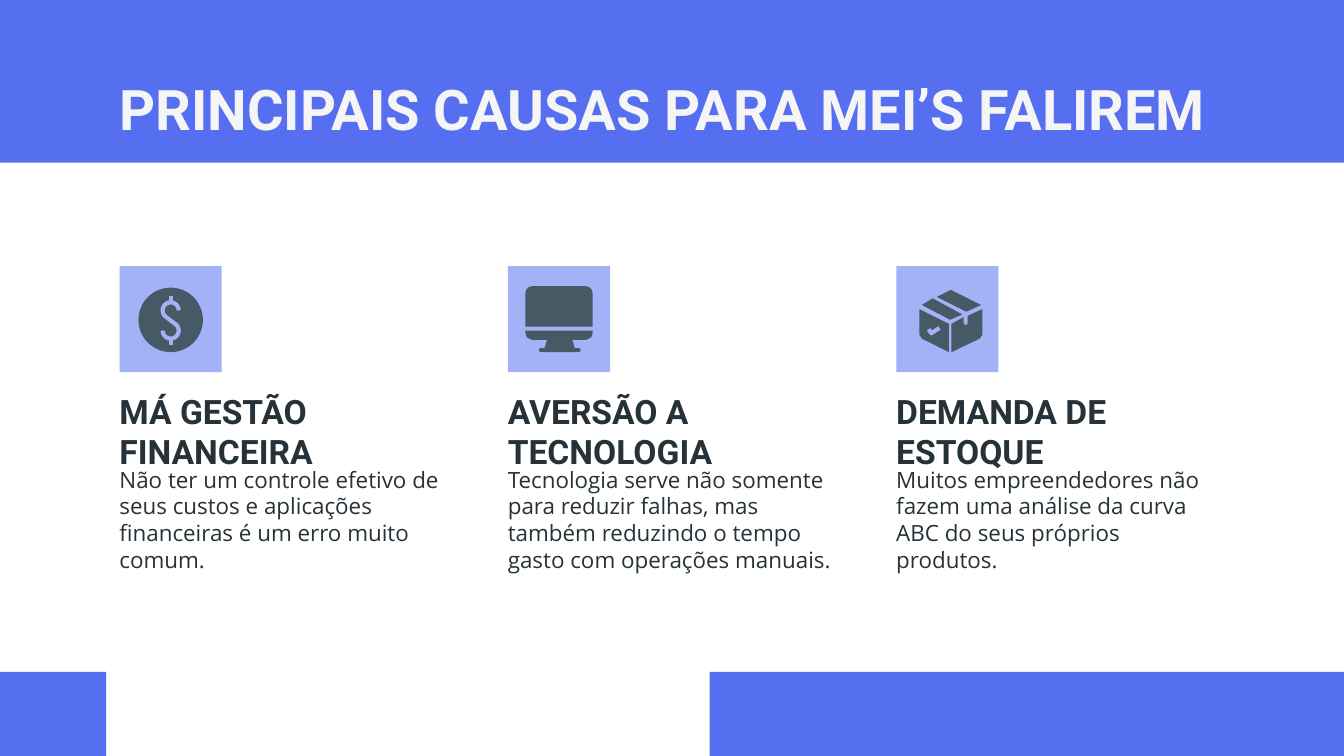
import math
from pptx import Presentation
from pptx.dml.color import RGBColor
from pptx.enum import shapes, text
from pptx.util import Inches, Pt

BLUE, PALE, SLATE, INK = "566FF0", "A3B1F7", "455A64", "263238"
KIND = shapes.MSO_SHAPE

deck = Presentation()
deck.slide_width, deck.slide_height = Inches(10), Inches(10 * 9 / 16)
slide = deck.slides.add_slide(deck.slide_layouts[5])


def paint(shape, fill=None, line=None):
    shape.shadow.inherit = False
    if fill:
        shape.fill.solid()
        shape.fill.fore_color.rgb = RGBColor.from_string(fill)
    else:
        shape.fill.background()
    if line:
        shape.line.color.rgb = RGBColor.from_string(line)
        shape.line.width = Pt(2.2)
    else:
        shape.line.fill.background()
    return shape


def write(box, words, font, size, color, bold=False):
    frame = box.text_frame
    frame.text = words
    frame.word_wrap = True
    frame.auto_size = text.MSO_AUTO_SIZE.NONE
    frame.vertical_anchor = text.MSO_ANCHOR.MIDDLE
    frame.margin_left = frame.margin_right = Inches(0.1)
    frame.margin_top = frame.margin_bottom = Inches(0.1)
    line = frame.paragraphs[0]
    line.alignment = text.PP_ALIGN.LEFT
    run = line.runs[0].font
    run.name, run.size, run.bold = font, Pt(size), bold
    run.color.rgb = RGBColor.from_string(color)


# Title over its band, and the footer blocks
title = slide.shapes.title
title.left, title.top = Inches(0.79), Inches(0.49)
title.width, title.height = Inches(8.43), Inches(0.63)
write(title, "PRINCIPAIS CAUSAS PARA MEI’S FALIREM", "Roboto", 30, "F5F5F5", True)

for x, y, w, h in [(0, -0.03, 10, 1.24), (0, 5, 0.79, 0.63), (5.28, 5, 4.72, 0.63)]:
    band = paint(slide.shapes.add_shape(
        KIND.RECTANGLE, Inches(x), Inches(y), Inches(w), Inches(h)), BLUE)
    title.element.addprevious(band.element)

# Three causes
causes = [
    ("MÁ GESTÃO FINANCEIRA",
     "Não ter um controle efetivo de seus custos e aplicações financeiras "
     "é um erro muito comum."),
    ("AVERSÃO A TECNOLOGIA",
     "Tecnologia serve não somente para reduzir falhas, mas também "
     "reduzindo o tempo gasto com operações manuais."),
    ("DEMANDA DE ESTOQUE",
     "Muitos empreendedores não fazem uma análise da curva ABC do seus "
     "próprios produtos."),
]
for i, (head, body) in enumerate(causes):
    left = 0.79 + i * 2.89
    box = slide.shapes.add_textbox(Inches(left), Inches(3.05), Inches(2.65), Inches(0.31))
    write(box, head, "Roboto", 18, INK, True)
    box = slide.shapes.add_textbox(Inches(left), Inches(3.51), Inches(2.65), Inches(0.71))
    write(box, body, "Open Sans", 12, INK)
    paint(slide.shapes.add_shape(
        KIND.RECTANGLE, Inches(left + 0.1), Inches(1.98), Inches(0.76), Inches(0.79)), PALE)

# Solid icon parts: coin, screen, foot of the screen
for kind, x, y, w, h in [
    (KIND.OVAL, 1.03, 2.14, 0.48, 0.48),
    (KIND.ROUND_2_SAME_RECTANGLE, 3.91, 2.13, 0.5, 0.3),
    (KIND.ROUNDED_RECTANGLE, 4.01, 2.59, 0.31, 0.03),
]:
    part = paint(slide.shapes.add_shape(
        kind, Inches(x), Inches(y), Inches(w), Inches(h)), SLATE)
    if kind == KIND.ROUNDED_RECTANGLE:
        part.adjustments[0] = 0.5

# Closed outlines: screen base, then lid, tape and sides of the parcel
solids = [
    [(3.91, 2.46), (4.41, 2.46), (4.41, 2.48), (4.4, 2.51), (4.36, 2.53), (4.26, 2.53),
     (4.28, 2.6), (4.05, 2.6), (4.07, 2.53), (3.96, 2.53), (3.92, 2.51), (3.91, 2.48)],
    [(6.94, 2.22), (6.86, 2.27), (7.07, 2.38), (7.16, 2.34)],
    [(7.07, 2.16), (6.97, 2.21), (7.19, 2.32), (7.3, 2.27), (7.08, 2.16)],
    [(7.31, 2.3), (7.2, 2.35), (7.2, 2.41), (7.19, 2.42), (7.17, 2.41), (7.17, 2.36),
     (7.08, 2.41), (7.08, 2.62), (7.29, 2.52), (7.31, 2.49)],
    [(6.84, 2.3), (6.84, 2.49), (6.86, 2.52), (7.06, 2.62), (7.06, 2.41)],
]

# Open strokes: dollar sign, then the parcel's check mark
turns = [math.radians(a) for a in range(0, 226, 15)]
upper = [(1.27 + 0.06 * math.cos(a), 2.31 - 0.06 * math.sin(a)) for a in turns]
lower = [(1.27 - 0.06 * math.cos(a), 2.46 + 0.06 * math.sin(a)) for a in reversed(turns)]
strokes = [
    upper + lower,
    [(1.27, 2.2), (1.27, 2.25)],
    [(1.27, 2.52), (1.27, 2.57)],
    [(6.91, 2.45), (6.93, 2.48), (6.99, 2.44)],
]

for group, closed in ((solids, True), (strokes, False)):
    for points in group:
        dots = [(Inches(x), Inches(y)) for x, y in points]
        path = slide.shapes.build_freeform(*dots[0])
        path.add_line_segments(dots[1:], close=closed)
        paint(path.convert_to_shape(), SLATE if closed else None, None if closed else PALE)

deck.save("out.pptx")
